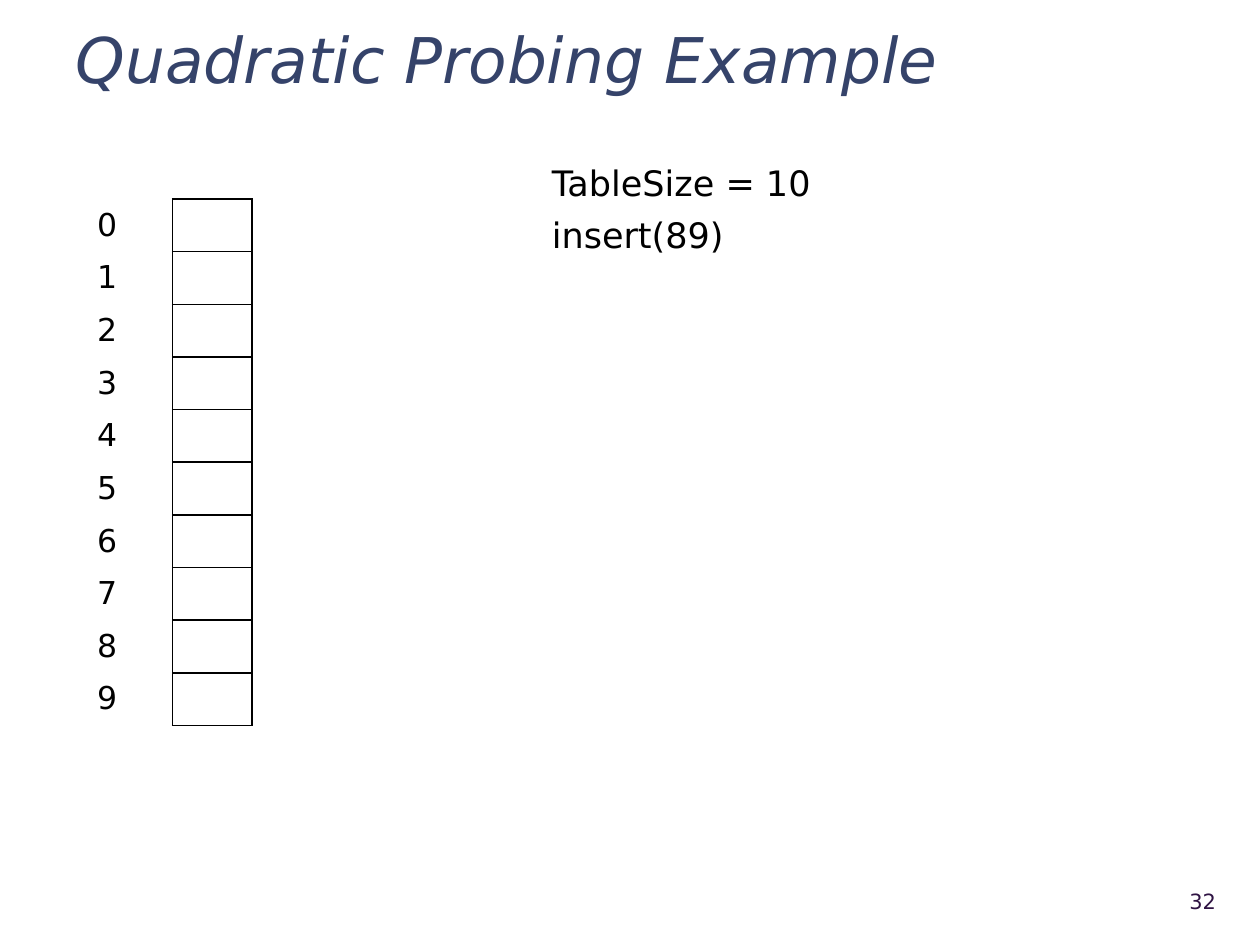
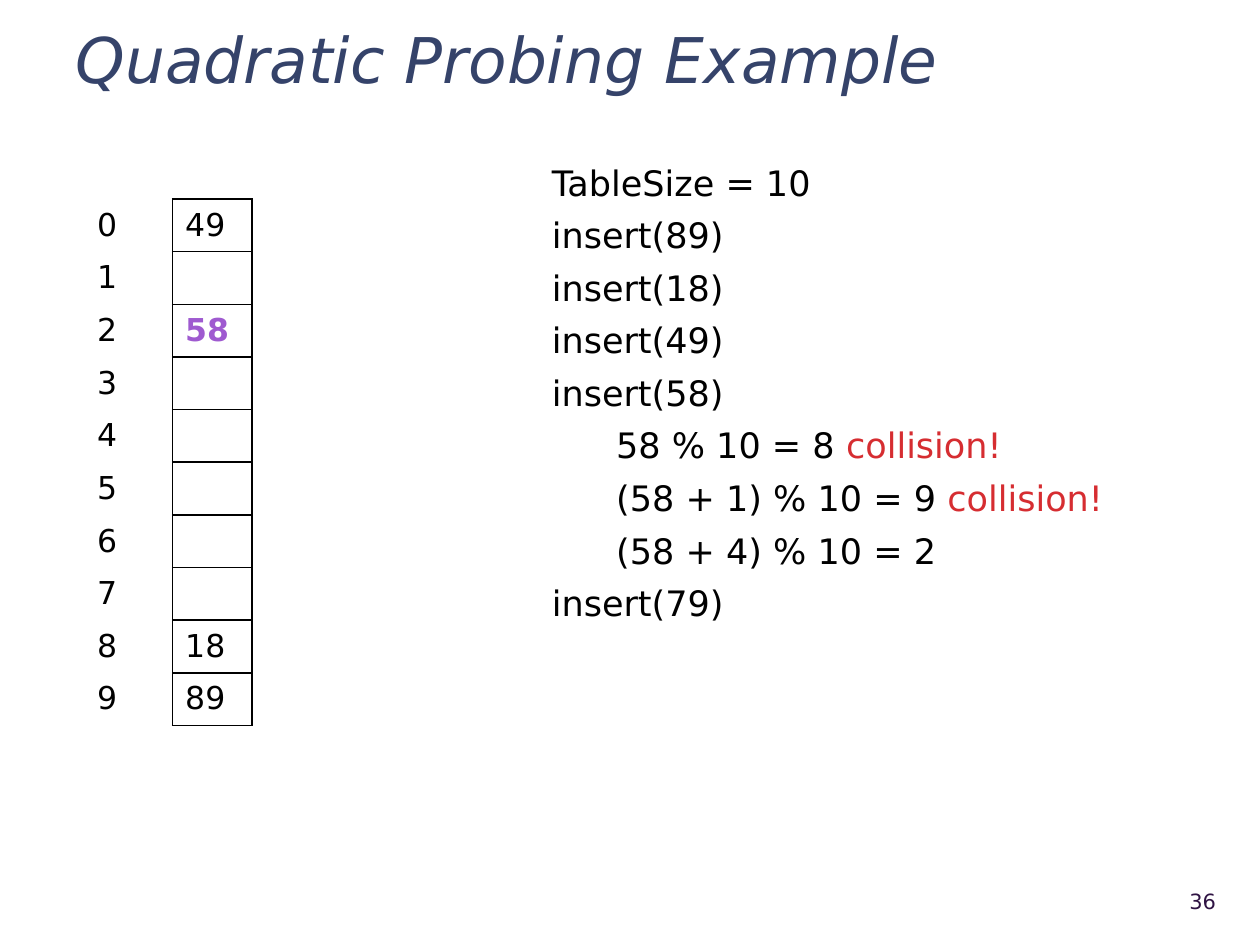
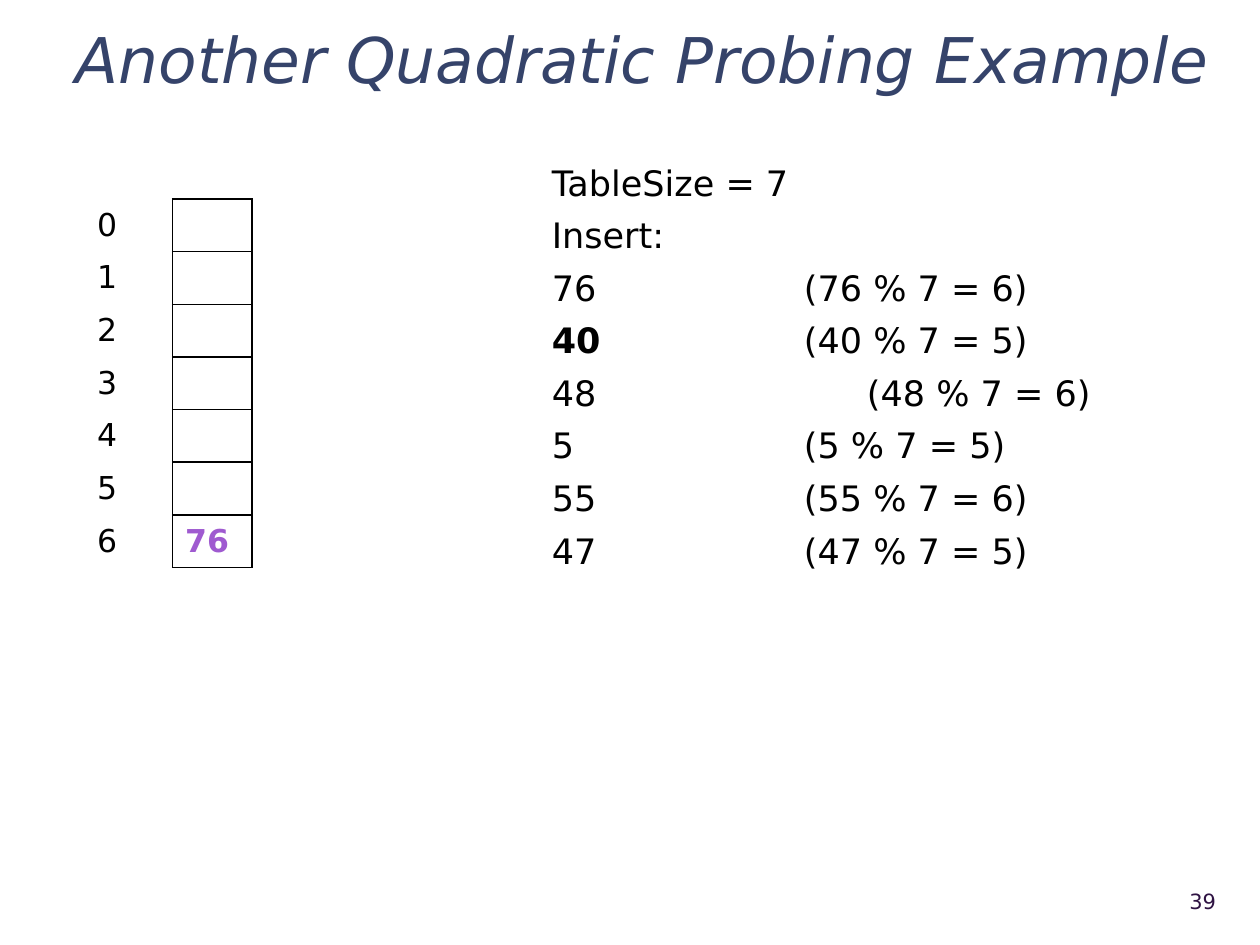
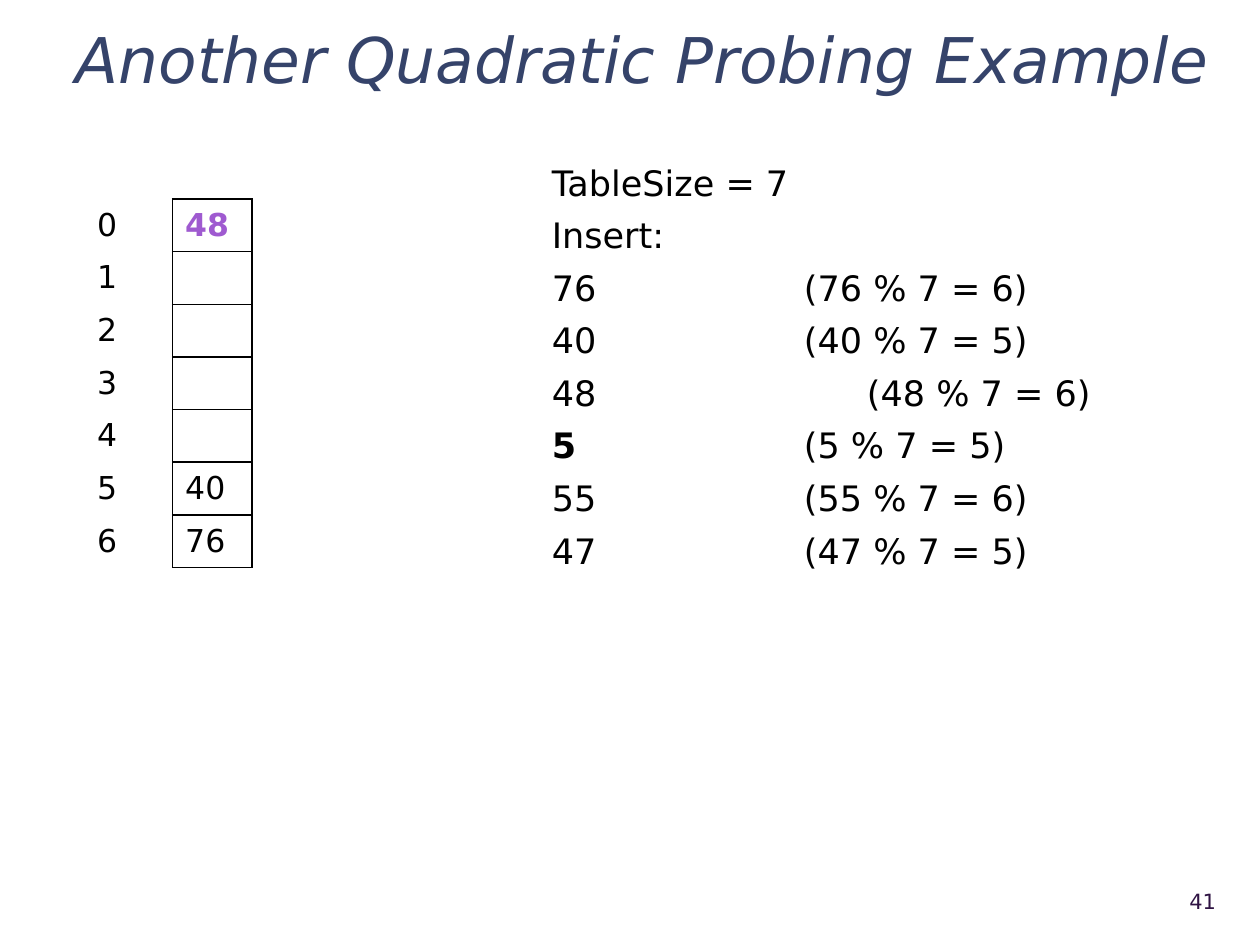
from dataclasses import dataclass, field

from lxml.etree import SubElement
from pptx import Presentation
from pptx.dml.color import RGBColor
from pptx.enum.text import MSO_ANCHOR, MSO_AUTO_SIZE, PP_ALIGN
from pptx.oxml.ns import qn
from pptx.util import Inches, Pt

FONT = "DejaVu Sans"
COLORS = {
    "title": "35436A",
    "page": "2F1343",
    "text": "000000",
    "alert": "D62D31",
    "new": "9F5AD0",
}
ROW = Inches(4.18) // 10
COLS = (Inches(0.7), Inches(0.63))
KEYS = (76, 40, 48, 5, 55, 47)


@dataclass
class Run:
    text: str
    tone: str = "text"
    bold: bool = False


@dataclass
class Line:
    runs: list[Run]
    indent: float = 0
    tab: float = 1


@dataclass
class Page:
    title: str
    number: int
    size: int
    height: float
    lines: list[Line]
    slots: dict[int, int] = field(default_factory=dict)
    newest: int | None = None


def plain(text: str) -> Line:
    return Line([Run(text)])


def probe(text: str, clash: bool = True) -> Line:
    runs = [Run(text)]
    if clash:
        runs = [Run(text + " "), Run("collision!", "alert")]
    return Line(runs, indent=0.51)


def insert(key: int, size: int, current: int) -> Line:
    runs = [Run(str(key), bold=key == current), Run(f"\t({key} % {size} = {key % size})")]
    return Line(runs, tab=2.5 if key == 48 else 2)


def steps(current: int) -> list[Line]:
    return [plain("TableSize = 7"), plain("Insert:")] + [insert(key, 7, current) for key in KEYS]


def place(shape, left: float, top: float, width: float, height: float) -> None:
    shape.left, shape.top = Inches(left), Inches(top)
    shape.width, shape.height = Inches(width), Inches(height)


def write(para, run: Run, size: int, italic: bool = False) -> None:
    part = para.add_run()
    part.text = run.text
    font = part.font
    font.name, font.size = FONT, Pt(size)
    font.bold, font.italic = run.bold, italic
    font.color.rgb = RGBColor.from_string(COLORS[run.tone])


def setup(shape, anchor: MSO_ANCHOR):
    frame = shape.text_frame
    frame.word_wrap = True
    frame.auto_size = MSO_AUTO_SIZE.NONE
    frame.vertical_anchor = anchor
    return frame


def add_title(slide, text: str) -> None:
    shape = slide.shapes.title
    place(shape, 0.5, 0.17, 9.25, 0.53)
    para = setup(shape, MSO_ANCHOR.MIDDLE).paragraphs[0]
    para.alignment = PP_ALIGN.LEFT
    para.line_spacing = 1.1
    write(para, Run(text, "title"), 36, italic=True)


def add_lines(slide, page: Page) -> None:
    shape = slide.placeholders[1]
    place(shape, 4.28, 1.23, 4.82, page.height)
    frame = setup(shape, MSO_ANCHOR.TOP)
    for index, line in enumerate(page.lines):
        para = frame.add_paragraph() if index else frame.paragraphs[0]
        props = para._p.get_or_add_pPr()
        props.set("marL", str(Inches(line.indent)))
        props.set("indent", "0")
        props.set("defTabSz", str(Inches(line.tab)))
        SubElement(props, qn("a:buNone"))
        para.space_before = Pt(6 if index else 0)
        for run in line.runs:
            write(para, run, 20)


def add_edges(cell, sides: str) -> None:
    props = cell._tc.get_or_add_tcPr()
    for side in "LRTB":
        edge = SubElement(props, qn(f"a:ln{side}"), w=str(Pt(1)))
        if side in sides:
            fill = SubElement(edge, qn("a:solidFill"))
            SubElement(fill, qn("a:srgbClr"), val=COLORS["text"])
        else:
            SubElement(edge, qn("a:noFill"))


def add_slots(slide, page: Page) -> None:
    shape = slide.shapes.add_table(
        page.size, len(COLS), Inches(0.67), Inches(1.58), sum(COLS), ROW * page.size
    )
    table = shape.table
    table.first_row = table.horz_banding = False
    for col, width in zip(table.columns, COLS):
        col.width = width
    for index in range(page.size):
        table.rows[index].height = ROW
        fresh = index == page.newest
        value = Run(str(page.slots.get(index, "")), "new" if fresh else "text", fresh)
        pairs = ((Run(str(index)), "R"), (value, "LRTB"))
        for col, (run, sides) in enumerate(pairs):
            cell = table.cell(index, col)
            add_edges(cell, sides)
            cell.fill.background()
            cell.vertical_anchor = MSO_ANCHOR.MIDDLE
            if run.text:
                write(cell.text_frame.paragraphs[0], run, 18)


def add_number(slide, number: int) -> None:
    shape = slide.shapes.add_textbox(0, 0, 0, 0)
    place(shape, 8.89, 6.95, 0.86, 0.4)
    para = setup(shape, MSO_ANCHOR.MIDDLE).paragraphs[0]
    para.alignment = PP_ALIGN.RIGHT
    write(para, Run(str(number), "page"), 12)


FIRST = "Quadratic Probing Example"
SECOND = "Another Quadratic Probing Example"
PAGES = [
    Page(FIRST, 32, 10, 0.86, [plain("TableSize = 10"), plain("insert(89)")]),
    Page(
        FIRST, 36, 10, 3.8,
        [
            plain("TableSize = 10"),
            *[plain(f"insert({key})") for key in (89, 18, 49, 58)],
            probe("58 % 10 = 8"),
            probe("(58 + 1) % 10 = 9"),
            probe("(58 + 4) % 10 = 2", clash=False),
            plain("insert(79)"),
        ],
        {0: 49, 2: 58, 8: 18, 9: 89}, newest=2,
    ),
    Page(SECOND, 39, 7, 4.64, steps(40), {6: 76}, newest=6),
    Page(SECOND, 41, 7, 4.64, steps(5), {0: 48, 5: 40, 6: 76}, newest=0),
]


def main() -> None:
    deck = Presentation()
    deck.slide_width, deck.slide_height = Inches(10), Inches(7.5)
    for page in PAGES:
        slide = deck.slides.add_slide(deck.slide_layouts[1])
        add_title(slide, page.title)
        add_lines(slide, page)
        add_slots(slide, page)
        add_number(slide, page.number)
    deck.save("out.pptx")


if __name__ == "__main__":
    main()
